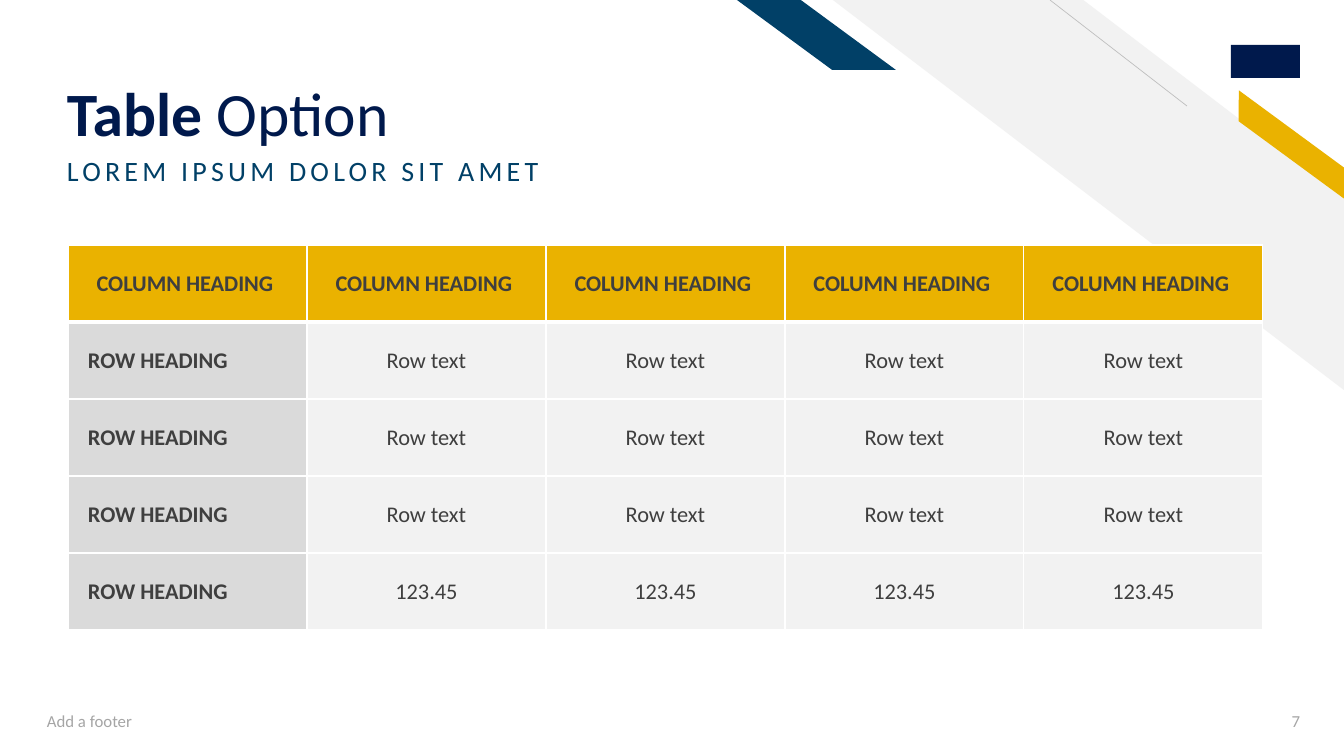
from dataclasses import dataclass
from lxml.etree import SubElement
from pptx import Presentation
from pptx.dml.color import RGBColor as Rgb
from pptx.enum.shapes import MSO_CONNECTOR as Connector, MSO_SHAPE as Preset
from pptx.enum.text import MSO_ANCHOR as Anchor, PP_ALIGN as Align
from pptx.oxml.ns import qn
from pptx.util import Emu, Pt


@dataclass(frozen=True)
class Theme:
    navy: str = "00194C"
    blue: str = "014067"
    gold: str = "EAB200"
    pale: str = "F2F2F2"
    silver: str = "DADADA"
    rule: str = "BFBFBF"
    ink: str = "3F3F3F"
    muted: str = "A5A5A5"
    white: str = "FFFFFF"
    font: str = "Calibri"
    title: int = 44
    subtitle: int = 20
    cell: int = 16
    footer: int = 12


THEME = Theme()
EMU_PER_PX = 914400 / 100.8
COLUMNS, COLUMN_WIDTH, ROW_HEIGHT = 5, 239, 77
GRID = [
    ["COLUMN HEADING "] * COLUMNS,
    *[["ROW HEADING"] + ["Row text"] * (COLUMNS - 1)] * 3,
    ["ROW HEADING"] + ["123.45"] * (COLUMNS - 1),
]


def px(length):
    return Emu(round(length * EMU_PER_PX))


def assign(target, values):
    for name, value in values.items():
        setattr(target, name, value)


def paint(fill, color):
    fill.solid()
    fill.fore_color.rgb = Rgb.from_string(color)


def add_span(para, text, size, color, bold=False, spacing=0):
    span = para.add_run()
    span.text = text
    assign(span.font, {"name": THEME.font, "size": Pt(size), "bold": bold})
    span.font.color.rgb = Rgb.from_string(color)
    if spacing:
        span.font._element.set("spc", str(spacing * 100))


def add_text(page, place, spans, frame=None, para=None):
    box = page.shapes.add_textbox(*map(px, place))
    assign(box.text_frame, {"word_wrap": True, **(frame or {})})
    first = box.text_frame.paragraphs[0]
    assign(first, para or {})
    for span in spans:
        add_span(first, **span)


def add_plain(page, preset, place, color):
    shape = page.shapes.add_shape(preset, *map(px, place))
    shape.shadow.inherit = False
    paint(shape.fill, color)
    shape.line.fill.background()
    return shape


def add_stripe(page, preset, place, color, skew, rotation=0):
    shape = add_plain(page, preset, place, color)
    shape.adjustments[0] = skew
    shape.rotation = rotation
    shape._element.spPr.get_or_add_xfrm().set("flipH", "1")


def add_rule(page, start, end, color, width):
    rule = page.shapes.add_connector(Connector.STRAIGHT, *map(px, start + end))
    rule.line.width = Pt(width)
    paint(rule.line.fill, color)
    SubElement(rule._element.spPr, qn("a:effectLst"))


def add_borders(cell, widths):
    properties = cell._tc.get_or_add_tcPr()
    for side, width in widths.items():
        line = SubElement(properties, qn(f"a:ln{side}"), w=str(Pt(width)))
        fill = SubElement(line, qn("a:solidFill"))
        SubElement(fill, qn("a:srgbClr"), val=THEME.white)


def fill_cell(cell, text, row, column):
    heading, side = row == 0, row > 0 and column == 0
    add_borders(cell, {"L": 1, "R": 1, "T": 3 if row == 1 else 1, "B": 3 if heading else 1})
    paint(cell.fill, THEME.gold if heading else THEME.silver if side else THEME.pale)
    assign(cell, {
        "vertical_anchor": Anchor.MIDDLE,
        "margin_left": px(20 if side else 10),
        "margin_right": px(10),
    })
    para = cell.text_frame.paragraphs[0]
    para.alignment = Align.LEFT if side else Align.CENTER
    add_span(para, text, THEME.cell, THEME.ink, bold=heading or side)


def add_grid(page, left, top):
    size = COLUMNS * COLUMN_WIDTH, len(GRID) * ROW_HEIGHT
    table = page.shapes.add_table(len(GRID), COLUMNS, *map(px, (left, top, *size))).table
    assign(table, {"first_row": False, "horz_banding": False})
    for column in table.columns:
        column.width = px(COLUMN_WIDTH)
    for row, texts in enumerate(GRID):
        table.rows[row].height = px(ROW_HEIGHT)
        for column, text in enumerate(texts):
            fill_cell(table.cell(row, column), text, row, column)


def add_decor(page):
    add_plain(page, Preset.RECTANGLE, (1231, 45, 69, 33), THEME.navy)
    add_stripe(page, Preset.DIAGONAL_STRIPE, (833, 0, 511, 390), THEME.pale, 0.51)
    add_rule(page, (1187, 106), (1050, 0), THEME.rule, 0.5)
    add_stripe(page, Preset.PARALLELOGRAM, (1217, 132, 149, 25), THEME.gold, 0.72, 36.3)
    add_stripe(page, Preset.PARALLELOGRAM, (737, 0, 159, 70), THEME.blue, 1.36)


def add_heading(page):
    title = {"size": THEME.title, "color": THEME.navy}
    add_text(page, (57, 23, 918, 127),
             [{"text": "Table ", "bold": True, **title}, {"text": "Option", **title}],
             {"vertical_anchor": Anchor.BOTTOM, "margin_bottom": 0},
             {"line_spacing": 0.9})
    add_text(page, (57, 152, 812, 68),
             [{"text": "LOREM IPSUM DOLOR SIT AMET", "size": THEME.subtitle,
               "color": THEME.blue, "spacing": 3}],
             para={"line_spacing": 0.9, "space_before": Pt(10)})


def add_footer(page):
    for text, left, width, align in (
        ("Add a footer", 37, 454, Align.LEFT),
        ("7", 1229, 81, Align.RIGHT),
    ):
        add_text(page, (left, 701, width, 40),
                 [{"text": text, "size": THEME.footer, "color": THEME.muted}],
                 {"vertical_anchor": Anchor.MIDDLE}, {"alignment": align})


def main():
    deck = Presentation()
    assign(deck, {"slide_width": px(1344), "slide_height": px(756)})
    page = deck.slides.add_slide(deck.slide_layouts[6])
    paint(page.background.fill, THEME.white)
    add_decor(page)
    add_heading(page)
    add_grid(page, 68, 245)
    add_footer(page)
    deck.save("out.pptx")


if __name__ == "__main__":
    main()
